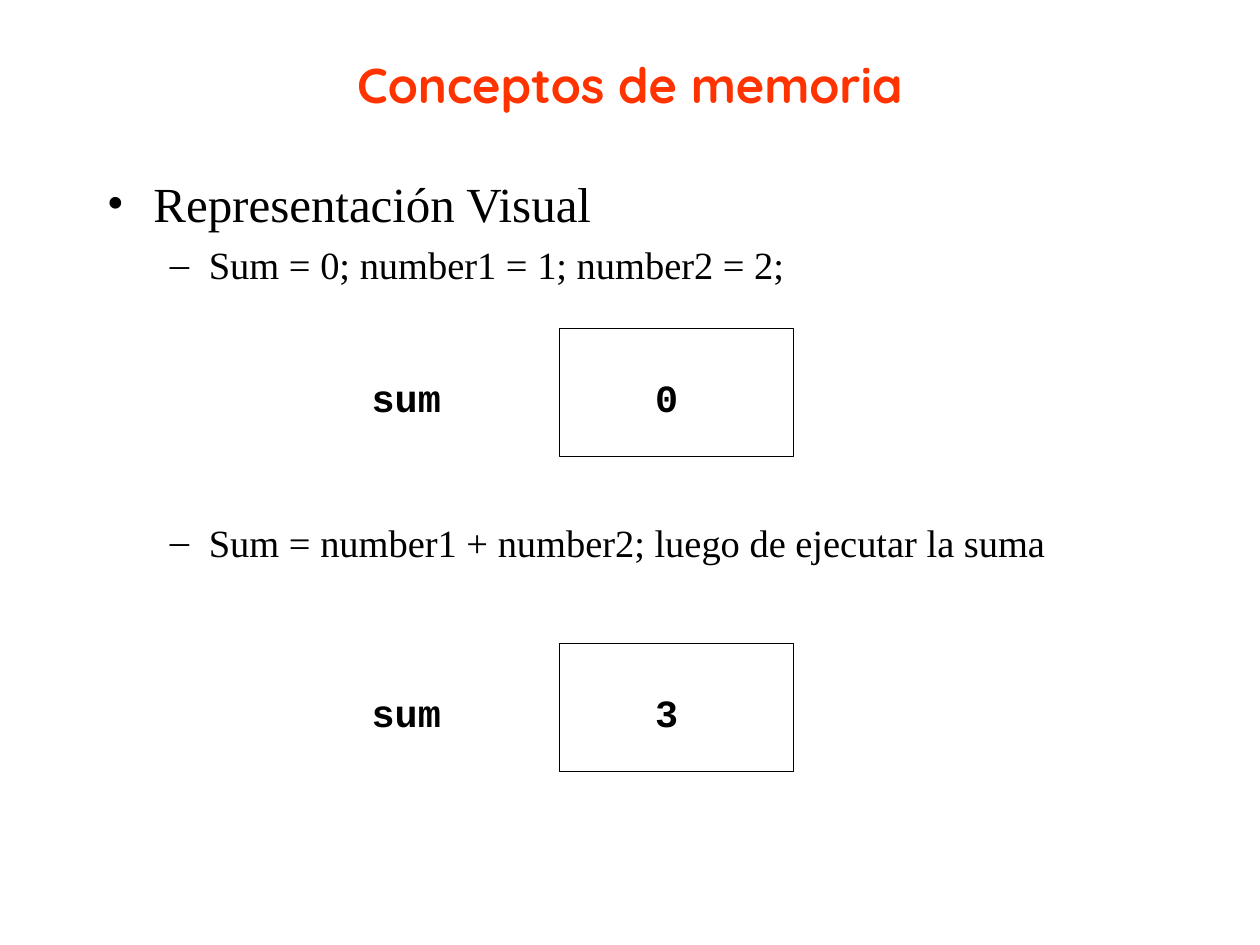
from lxml.etree import SubElement
from pptx import Presentation
from pptx.dml.color import RGBColor
from pptx.enum.shapes import MSO_SHAPE as Shape
from pptx.enum.text import MSO_ANCHOR as Anchor, PP_ALIGN as Align
from pptx.oxml.ns import qn
from pptx.util import Inches, Pt

ORANGE_RED = RGBColor(0xFF, 0x33, 0x00)
BLACK = RGBColor(0, 0, 0)
WHITE = RGBColor(0xFF, 0xFF, 0xFF)

# text, bullet, size, left margin, hanging indent, space before
STATEMENTS = [
    ("Representación Visual", "•", 28, 0.37, 0.37, 7),
    ("Sum = 0; number1 = 1; number2 = 2;", "–", 22, 0.81, 0.31, 5),
    ("Sum = number1 + number2; luego de ejecutar la suma", "–", 22, 0.81, 0.31, 132),
]
# value of sum, top of the memory cell
MEMORY_STATES = [("0", 2.61), ("3", 5.11)]


def add_text_frame(slide, left, top, width, height, wrap=True):
    box = slide.shapes.add_textbox(
        Inches(left), Inches(top), Inches(width), Inches(height))
    box.text_frame.word_wrap = wrap
    return box.text_frame


def add_run(paragraph, text, font_name, size, color=BLACK, bold=False):
    run = paragraph.add_run()
    run.text = text
    run.font.name = font_name
    run.font.size = Pt(size)
    run.font.color.rgb = color
    run.font.bold = bold


def set_bullet(paragraph, bullet, margin, hanging):
    properties = paragraph._p.get_or_add_pPr()
    properties.set("marL", str(Inches(margin)))
    properties.set("indent", str(-Inches(hanging)))
    SubElement(properties, qn("a:buFont"), typeface="Times New Roman")
    SubElement(properties, qn("a:buChar"), char=bullet)


def add_title(slide, left, top, width, height):
    frame = add_text_frame(slide, left, top, width, height)
    frame.vertical_anchor = Anchor.MIDDLE
    title = frame.paragraphs[0]
    title.alignment = Align.CENTER
    add_run(title, "Conceptos de memoria", "Quicksand", 28, ORANGE_RED, True)


def add_statements(slide, left, top, width, height):
    frame = add_text_frame(slide, left, top, width, height)
    for index, (text, bullet, size, margin, hanging, gap) in enumerate(STATEMENTS):
        statement = frame.add_paragraph() if index else frame.paragraphs[0]
        statement.space_before = Pt(gap)
        set_bullet(statement, bullet, margin, hanging)
        add_run(statement, text, "Times New Roman", size)


def add_code_label(slide, text, left, top, width, height):
    frame = add_text_frame(slide, left, top, width, height, wrap=False)
    frame.margin_left = frame.margin_right = 0
    frame.margin_top = frame.margin_bottom = 0
    add_run(frame.paragraphs[0], text, "Courier New", 22, bold=True)


def add_memory_cell(slide, value, left, top, width, height):
    """Draw the cell with its value inside and its variable name to the left."""
    cell = slide.shapes.add_shape(
        Shape.RECTANGLE, Inches(left), Inches(top), Inches(width), Inches(height))
    cell.shadow.inherit = False
    cell.fill.solid()
    cell.fill.fore_color.rgb = WHITE
    cell.line.color.rgb = BLACK
    cell.line.width = Pt(0.5)
    label_top = top + 0.36
    add_code_label(slide, "sum", left - 1.49, label_top, 0.55, 0.37)
    add_code_label(slide, value, left + 0.76, label_top, 0.18, 0.37)


def main():
    deck = Presentation()
    deck.slide_width, deck.slide_height = Inches(10), Inches(7.5)
    slide = deck.slides.add_slide(deck.slide_layouts[6])
    add_title(slide, 0.75, 0.08, 8.5, 1.17)
    add_statements(slide, 0.75, 1.33, 8.5, 5.75)
    for value, top in MEMORY_STATES:
        add_memory_cell(slide, value, 4.44, top, 1.86, 1.01)
    deck.save("out.pptx")


if __name__ == "__main__":
    main()
